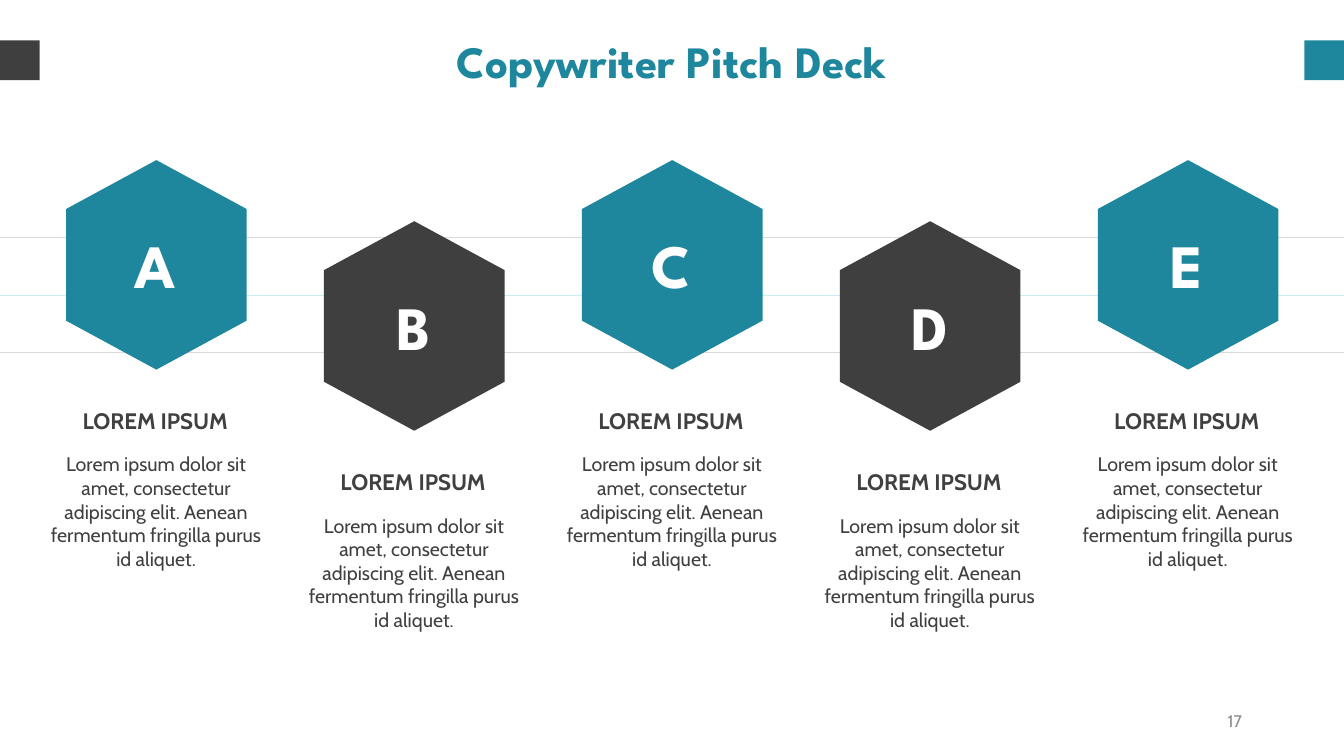
from pptx import Presentation
from pptx import util as u
from pptx.dml.color import RGBColor
from pptx.enum import shapes, text
from pptx.oxml.ns import qn
from lxml import etree

WIDE, HIGH = 33.87, 19.05
TEAL, DARK, INK = "1F879D", "3F3F3F", "404040"
HEAD, BODY = "League Spartan", "Cabin"
BLURB = ("Lorem ipsum dolor sit amet, consectetur adipiscing elit. "
         "Aenean fermentum fringilla purus id aliquet.")


def color(code):
    return RGBColor.from_string(code)


class Deck:
    def __init__(self):
        self.prs = Presentation()
        self.prs.slide_width = u.Cm(WIDE)
        self.prs.slide_height = u.Cm(HIGH)
        self.slide = self.prs.slides.add_slide(self.prs.slide_layouts[6])

    def line(self, y, code):
        item = self.slide.shapes.add_connector(
            shapes.MSO_CONNECTOR.STRAIGHT, 0, u.Cm(y), u.Cm(WIDE), u.Cm(y))
        item.line.color.rgb = color(code)
        item.line.width = u.Pt(0.5)
        etree.SubElement(item._element.spPr, qn("a:effectLst"))

    def shape(self, kind, x, y, w, h, fill):
        item = self.slide.shapes.add_shape(
            kind, u.Cm(x), u.Cm(y), u.Cm(w), u.Cm(h))
        item.shadow.inherit = False
        item.fill.solid()
        item.fill.fore_color.rgb = color(fill)
        item.line.fill.background()
        return item

    def square(self, x, fill):
        self.shape(shapes.MSO_SHAPE.RECTANGLE, x, 1.02, 1, 1, fill)

    def hexagon(self, x, y, fill):
        item = self.shape(shapes.MSO_SHAPE.HEXAGON, x, y, 5.28, 4.57, fill)
        item.rotation = 90
        item.adjustments[0] = 0.27
        item.adjustments[1] = 1.15

    def text(self, words, x, y, w, h, size, code, font=BODY, bold=False,
             align=text.PP_ALIGN.CENTER, anchor=text.MSO_ANCHOR.MIDDLE,
             pad=(0, 0), fit=text.MSO_AUTO_SIZE.SHAPE_TO_FIT_TEXT):
        box = self.slide.shapes.add_textbox(
            u.Cm(x), u.Cm(y), u.Cm(w), u.Cm(h))
        frame = box.text_frame
        frame.word_wrap = True
        frame.auto_size = fit
        frame.vertical_anchor = anchor
        frame.margin_left = frame.margin_right = u.Cm(pad[0])
        frame.margin_top = frame.margin_bottom = u.Cm(pad[1])
        para = frame.paragraphs[0]
        para.text = words
        para.alignment = align
        para.font.name = font
        para.font.size = u.Pt(size)
        para.font.bold = bold
        para.font.color.rgb = color(code)

    def step(self, mark, x, y, fill):
        self.hexagon(x, y, fill)
        self.text(mark, x + 0.44, y + 1.33, 4.37, 1.88, 44, "FFFFFF",
                  HEAD, True)
        self.text("LOREM IPSUM", x + 0.44, y + 5.87, 4.34, 0.69, 16, INK,
                  bold=True)
        self.text(BLURB, x - 0.12, y + 7.01, 5.51, 3, 14, INK,
                  anchor=text.MSO_ANCHOR.TOP)


def main():
    deck = Deck()
    for y, code in ((5.98, "D9D9D9"), (8.89, "D9D9D9"), (7.44, "C9EDF4")):
        deck.line(y, code)
    deck.text("Copywriter Pitch Deck", 1.73, 0.84, 30.4, 1.37, 32, TEAL,
              HEAD, True, anchor=text.MSO_ANCHOR.TOP)
    deck.square(WIDE - 1, TEAL)
    deck.square(0, DARK)
    deck.text("17", 23.93, 17.65, 7.62, 1.02, 12, "8C8C8C",
              align=text.PP_ALIGN.RIGHT, pad=(0.25, 0.13),
              fit=text.MSO_AUTO_SIZE.NONE)
    for i, mark in enumerate("ABCDE"):
        low = i % 2
        deck.step(mark, 1.3 + 6.5 * i, 4.39 + 1.54 * low,
                  DARK if low else TEAL)
    deck.prs.save("out.pptx")


if __name__ == "__main__":
    main()
